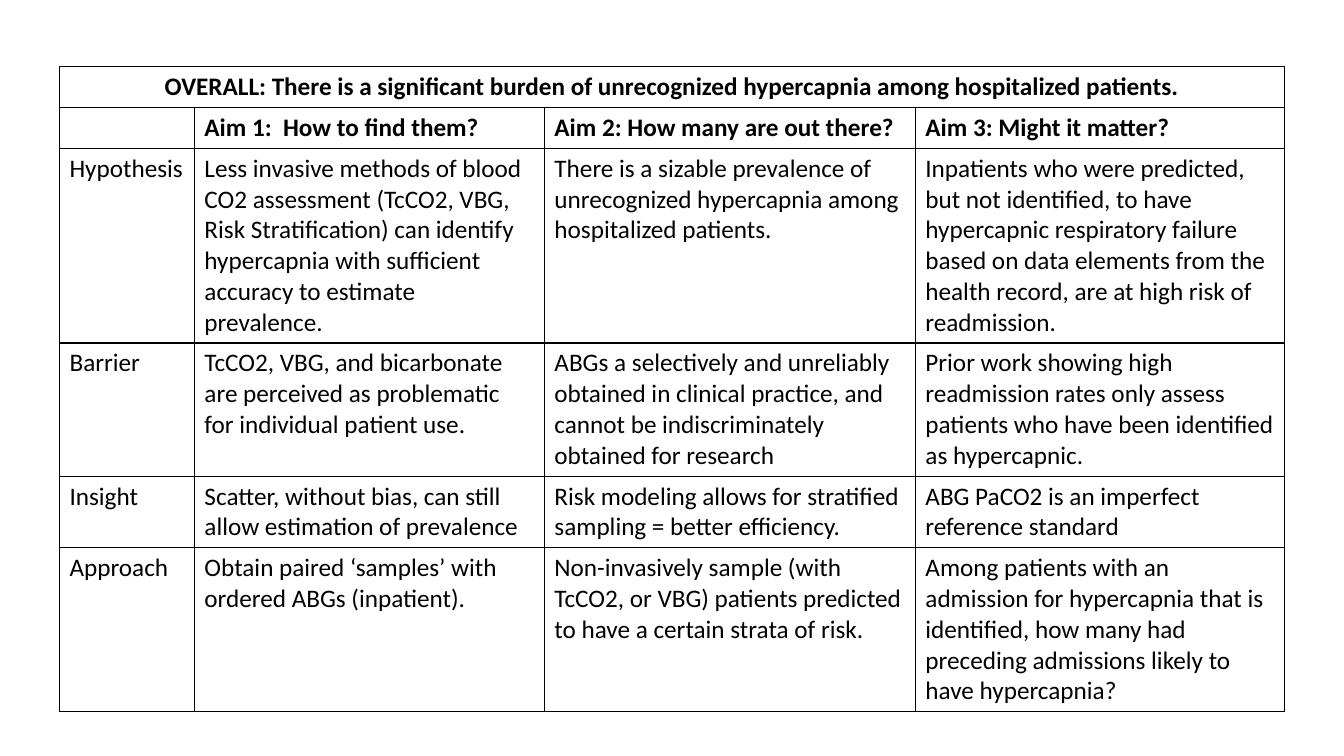
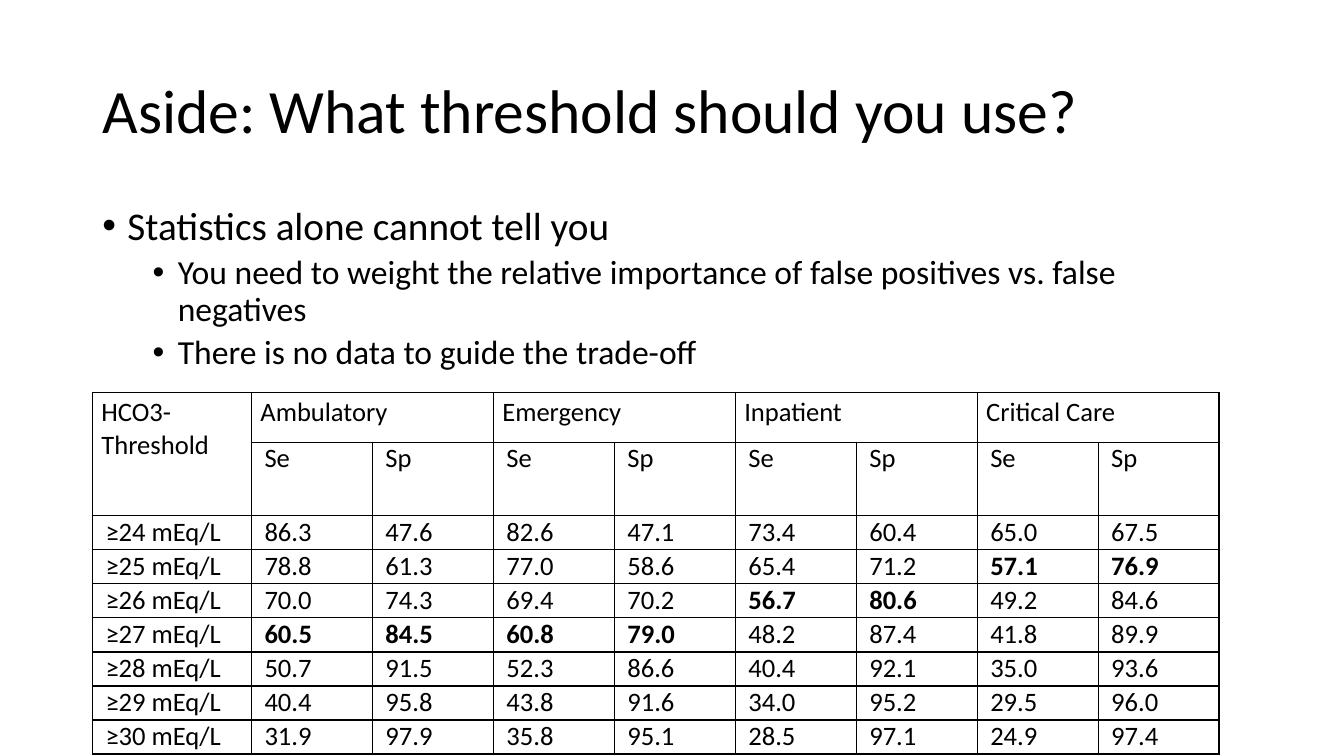
"""Build two slides on finding hypercapnia: a table of aims and a table of thresholds."""
import pptx
import pptx.dml.color
import pptx.enum.text
import pptx.util
from lxml import etree
from pptx.oxml.ns import qn

Pt = pptx.util.Pt
FONT = "Calibri"
INK = "000000"
PAPER = "FFFFFF"
LEFT = 66
WIDTH = 828

AIMS = [
    ["OVERALL: There is a significant burden of unrecognized hypercapnia among hospitalized patients.",
     "", "", ""],
    ["", "Aim 1:  How to find them?", "Aim 2: How many are out there?", "Aim 3: Might it matter?"],
    ["Hypothesis",
     "Less invasive methods of blood CO2 assessment (TcCO2, VBG, Risk Stratification) can identify "
     "hypercapnia with sufficient accuracy to estimate prevalence.",
     "There is a sizable prevalence of unrecognized hypercapnia among hospitalized patients.",
     "Inpatients who were predicted, but not identified, to have hypercapnic respiratory failure based "
     "on data elements from the health record, are at high risk of readmission."],
    ["Barrier",
     "TcCO2, VBG, and bicarbonate are perceived as problematic for individual patient use.",
     "ABGs a selectively and unreliably obtained in clinical practice, and cannot be indiscriminately "
     "obtained for research",
     "Prior work showing high readmission rates only assess patients who have been identified as "
     "hypercapnic."],
    ["Insight",
     "Scatter, without bias, can still allow estimation of prevalence",
     "Risk modeling allows for stratified sampling = better efficiency.",
     "ABG PaCO2 is an imperfect reference standard"],
    ["Approach",
     "Obtain paired ‘samples’ with ordered ABGs (inpatient).",
     "Non-invasively sample (with TcCO2, or VBG) patients predicted to have a certain strata of risk.",
     "Among patients with an admission for hypercapnia that is identified, how many had preceding "
     "admissions likely to have hypercapnia?"],
]

POINTS = [
    (0, "Statistics alone cannot tell you"),
    (1, "You need to weight the relative importance of false positives vs. false negatives"),
    (1, "There is no data to guide the trade-off"),
]

SITES = ["Ambulatory", "Emergency", "Inpatient", "Critical Care"]
RATES = {
    24: [86.3, 47.6, 82.6, 47.1, 73.4, 60.4, 65.0, 67.5],
    25: [78.8, 61.3, 77.0, 58.6, 65.4, 71.2, 57.1, 76.9],
    26: [70.0, 74.3, 69.4, 70.2, 56.7, 80.6, 49.2, 84.6],
    27: [60.5, 84.5, 60.8, 79.0, 48.2, 87.4, 41.8, 89.9],
    28: [50.7, 91.5, 52.3, 86.6, 40.4, 92.1, 35.0, 93.6],
    29: [40.4, 95.8, 43.8, 91.6, 34.0, 95.2, 29.5, 96.0],
    30: [31.9, 97.9, 35.8, 95.1, 28.5, 97.1, 24.9, 97.4],
}


def color(code):
    """Turn a hex string into a colour."""
    return pptx.dml.color.RGBColor.from_string(code)


def style(frame, size, bold=False):
    """Format every run of a text frame."""
    for para in frame.paragraphs:
        for run in para.runs:
            run.font.name = FONT
            run.font.size = Pt(size)
            run.font.bold = bold
            run.font.color.rgb = color(INK)


def border(cell):
    """Draw a thin line on each side of a cell."""
    props = cell._tc.get_or_add_tcPr()
    for side in ("a:lnL", "a:lnR", "a:lnT", "a:lnB"):
        line = etree.SubElement(props, qn(side), w=str(Pt(1)))
        fill = etree.SubElement(line, qn("a:solidFill"))
        etree.SubElement(fill, qn("a:srgbClr"), val=INK)


def pad(cell, side, edge):
    """Set the side margins and the top and bottom margins of a cell."""
    cell.margin_left = cell.margin_right = Pt(side)
    cell.margin_top = cell.margin_bottom = Pt(edge)


def grid(slide, left, top, cols, rows, texts, size):
    """Add a plain ruled table and return it."""
    frame = slide.shapes.add_table(len(rows), len(cols), Pt(left), Pt(top), Pt(sum(cols)), Pt(sum(rows)))
    table = frame.table
    table.first_row = table.horz_banding = False
    for col, width in zip(table.columns, cols):
        col.width = Pt(width)
    for row, height, line in zip(table.rows, rows, texts):
        row.height = Pt(height)
        for cell, text in zip(row.cells, line):
            border(cell)
            cell.fill.solid()
            cell.fill.fore_color.rgb = color(PAPER)
            if text:
                cell.text_frame.text = text
                style(cell.text_frame, size)
    return table


def title(slide, text):
    """Place and format the slide title."""
    shape = slide.shapes.title
    shape.left, shape.top, shape.width, shape.height = Pt(LEFT), Pt(28.75), Pt(WIDTH), Pt(104.4)
    frame = shape.text_frame
    frame.text = text
    frame.vertical_anchor = pptx.enum.text.MSO_ANCHOR.MIDDLE
    frame.paragraphs[0].alignment = pptx.enum.text.PP_ALIGN.LEFT
    frame.paragraphs[0].line_spacing = 0.9
    style(frame, 44)


def bullets(slide, top, height, points):
    """Add a bulleted list of two levels."""
    frame = slide.shapes.add_textbox(Pt(LEFT), Pt(top), Pt(WIDTH), Pt(height)).text_frame
    frame.word_wrap = True
    frame.text = "\n".join(text for level, text in points)
    style(frame, 24)
    for i, (para, (level, text)) in enumerate(zip(frame.paragraphs, points)):
        para.level = level
        para.line_spacing = 0.9
        para.space_before = Pt(5 if i else 0)
        props = para._p.get_or_add_pPr()
        props.set("marL", str(Pt(18 + 36 * level)))
        props.set("indent", str(Pt(-18)))
        etree.SubElement(props, qn("a:buFont"), typeface="Arial")
        etree.SubElement(props, qn("a:buChar"), char="•")
        if level == 0:
            para.runs[0].font.size = Pt(28)


def aims(deck):
    """Add the slide with the table of aims."""
    slide = deck.slides.add_slide(deck.slide_layouts[6])
    rows = [29.2, 29.2, 139, 95.2, 50.8, 117]
    table = grid(slide, 42.5, 47.5, [96.4, 250, 265, 263.6], rows, AIMS, 18)
    table.cell(0, 0).merge(table.cell(0, 3))
    table.cell(0, 0).text_frame.paragraphs[0].alignment = pptx.enum.text.PP_ALIGN.CENTER
    for row in (0, 1):
        for col in range(4):
            style(table.cell(row, col).text_frame, 18, True)


def cutoffs(deck):
    """Add the slide with the table of thresholds."""
    slide = deck.slides.add_slide(deck.slide_layouts[5])
    title(slide, "Aside: What threshold should you use?")
    bullets(slide, 144, 342.7, POINTS)
    texts = [["HCO3-\nThreshold"], [""] + ["Se", "Sp"] * len(SITES)]
    for site in SITES:
        texts[0] += [site, ""]
    for level, rates in RATES.items():
        texts.append([f"≥{level} mEq/L"] + [f"{rate:.1f}" for rate in rates])
    cols = [113.6] + [86.4] * 8
    rows = [35.7, 52.5] + [24.3] * len(RATES)
    table = grid(slide, LEFT, 280.3, cols, rows, texts, 19)
    for row in range(len(rows)):
        for col in range(len(cols)):
            head = row == 0 or (row == 1 and col == 0)
            pad(table.cell(row, col), *((6.5, 3) if head else (9.4, 0)))
    table.cell(0, 0).merge(table.cell(1, 0))
    levels = list(RATES)
    for i in range(len(SITES)):
        col = 1 + 2 * i
        table.cell(0, col).merge(table.cell(0, col + 1))
        best = max(levels, key=lambda level: sum(RATES[level][2 * i:2 * i + 2]))
        for side in (col, col + 1):
            style(table.cell(2 + levels.index(best), side).text_frame, 19, True)


def main():
    """Build and save the deck."""
    deck = pptx.Presentation()
    deck.slide_width, deck.slide_height = Pt(960), Pt(540)
    aims(deck)
    cutoffs(deck)
    deck.save("out.pptx")


if __name__ == "__main__":
    main()
